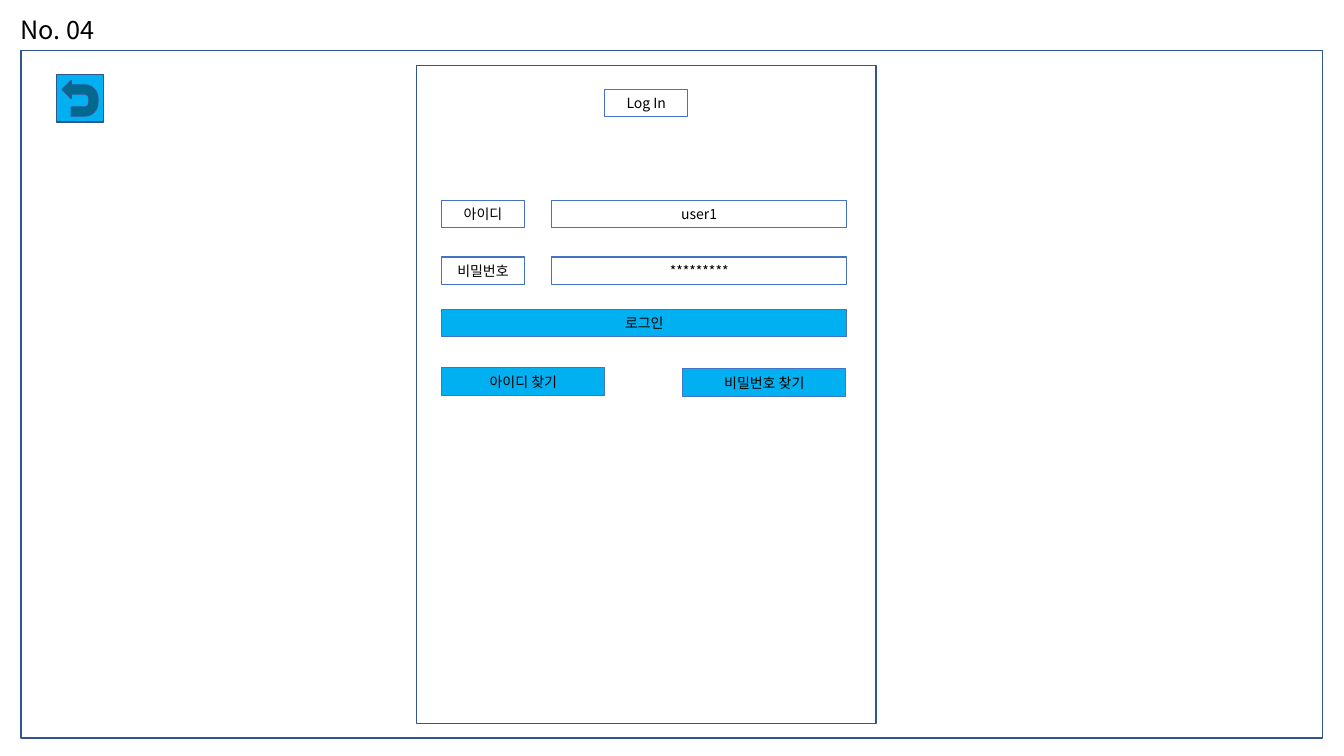
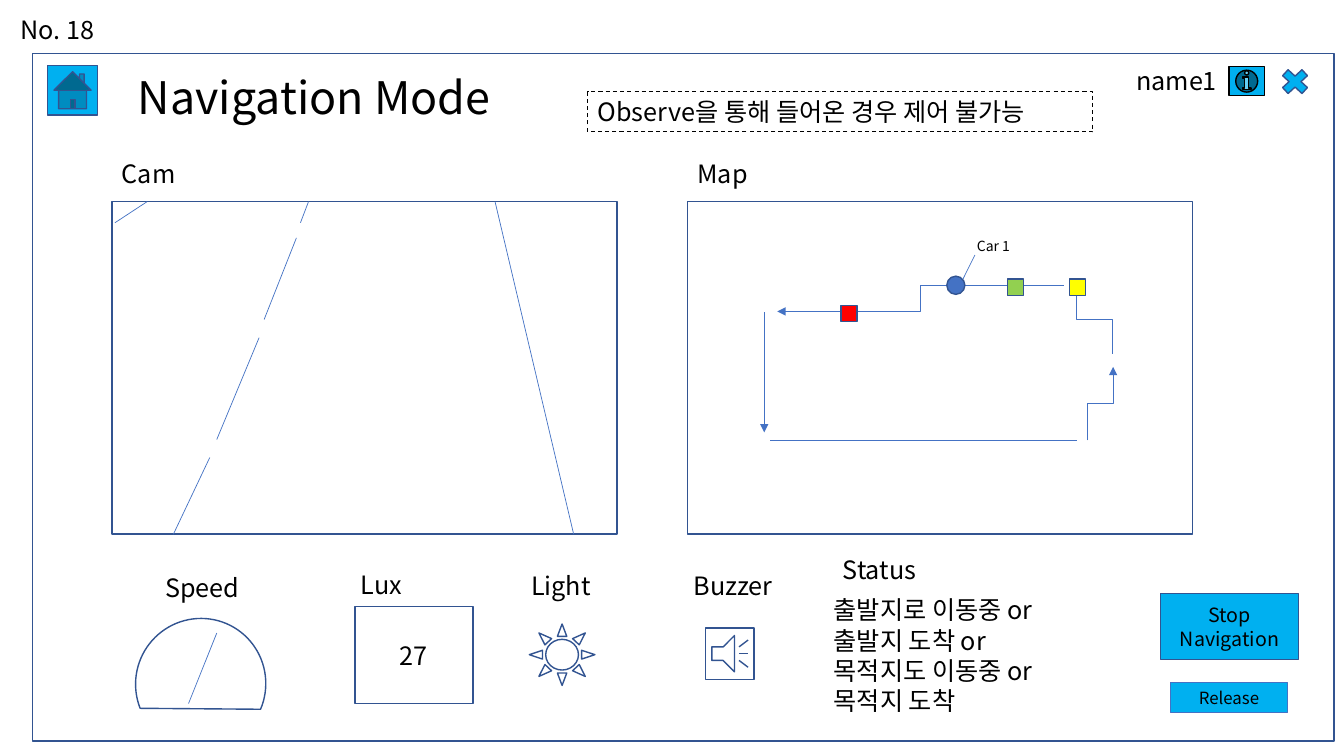
from dataclasses import dataclass
from typing import Any, Optional

from lxml.etree import SubElement
from pptx import Presentation
from pptx.dml.color import RGBColor
from pptx.enum.dml import MSO_LINE
from pptx.enum.shapes import MSO_CONNECTOR, MSO_SHAPE
from pptx.enum.text import MSO_ANCHOR, MSO_AUTO_SIZE, PP_ALIGN
from pptx.oxml.ns import qn
from pptx.util import Emu, Pt

PX = 9144  # EMU per px, 100 px to the inch


@dataclass(frozen=True)
class Theme:
    font: str = "Noto Sans CJK KR"
    ink: str = "000000"
    outline: str = "325491"
    accent: str = "4472C4"
    button: str = "00B0F0"
    stop_yellow: str = "FFFF00"
    stop_green: str = "92D050"
    stop_red: str = "FF0000"
    caption: int = 10
    small: int = 12
    action: int = 14
    body: int = 18
    heading: int = 32
    leading: float = 1.2
    hairline: float = 0.5
    thin: float = 0.75
    normal: float = 1


THEME = Theme()


@dataclass(frozen=True)
class Area:
    left: int
    top: int
    width: int
    height: int

    def emu(self) -> tuple[Emu, ...]:
        return tuple(Emu(n * PX) for n in (self.left, self.top, self.width, self.height))


@dataclass(frozen=True)
class Box:
    area: Area
    preset: MSO_SHAPE = MSO_SHAPE.RECTANGLE
    fill: Optional[str] = None
    line: str = THEME.outline
    weight: float = THEME.normal
    dash: Optional[MSO_LINE] = None
    rotation: int = 0
    text: str = ""
    size: int = THEME.caption
    align: PP_ALIGN = PP_ALIGN.CENTER


@dataclass(frozen=True)
class Label:
    area: Area
    text: str
    size: int = THEME.body


@dataclass(frozen=True)
class Route:
    """A line between two points; a bent one may leave its start vertically."""
    x1: int
    y1: int
    x2: int
    y2: int
    arrow: bool = False
    bent: bool = False
    upright: bool = False


def apply(target: Any, values: dict[str, Any]) -> None:
    for name, value in values.items():
        setattr(target, name, value)


def write(shape: Any, text: str, size: int, align: PP_ALIGN, anchor: MSO_ANCHOR) -> None:
    frame = shape.text_frame
    frame.text = text
    apply(frame, {
        "word_wrap": True, "auto_size": MSO_AUTO_SIZE.NONE, "vertical_anchor": anchor,
        "margin_left": Emu(10 * PX), "margin_right": Emu(10 * PX),
        "margin_top": Emu(5 * PX), "margin_bottom": Emu(5 * PX),
    })
    for paragraph in frame.paragraphs:
        apply(paragraph, {"alignment": align, "line_spacing": Pt(size * THEME.leading)})
        for run in paragraph.runs:
            apply(run.font, {"name": THEME.font, "size": Pt(size)})
            run.font.color.rgb = RGBColor.from_string(THEME.ink)
            SubElement(run.font._element, qn("a:ea"), typeface=THEME.font)


def stroke(shape: Any, color: str, weight: float) -> None:
    shape.line.color.rgb = RGBColor.from_string(color)
    shape.line.width = Pt(weight)


def draw_box(slide: Any, box: Box) -> None:
    shape = slide.shapes.add_shape(box.preset, *box.area.emu())
    shape.shadow.inherit = False
    shape.rotation = box.rotation
    if box.fill:
        shape.fill.solid()
        shape.fill.fore_color.rgb = RGBColor.from_string(box.fill)
    else:
        shape.fill.background()
    stroke(shape, box.line, box.weight)
    if box.dash:
        shape.line.dash_style = box.dash
    if box.text:
        write(shape, box.text, box.size, box.align, MSO_ANCHOR.MIDDLE)


def draw_label(slide: Any, label: Label) -> None:
    shape = slide.shapes.add_textbox(*label.area.emu())
    write(shape, label.text, label.size, PP_ALIGN.LEFT, MSO_ANCHOR.TOP)


def draw_route(slide: Any, route: Route) -> None:
    kind = MSO_CONNECTOR.ELBOW if route.bent else MSO_CONNECTOR.STRAIGHT
    ends = (route.x1, route.y1, route.x2, route.y2)
    if route.upright:
        # Ends before the quarter turn that makes the first leg vertical
        cx, cy = (route.x1 + route.x2) / 2, (route.y1 + route.y2) / 2
        dx, dy = route.x1 - cx, route.y1 - cy
        ends = (cx + dy, cy - dx, cx - dy, cy + dx)
    connector = slide.shapes.add_connector(kind, *(Emu(int(n * PX)) for n in ends))
    if route.upright:
        connector._element.spPr.find(qn("a:xfrm")).set("rot", str(90 * 60000))
    stroke(connector, THEME.accent, THEME.hairline)
    if route.arrow:
        SubElement(connector.line._get_or_add_ln(), qn("a:tailEnd"), type="triangle")
    SubElement(connector._element.spPr, qn("a:effectLst"))


def draw(slide: Any, *parts: Any) -> None:
    painters = {Box: draw_box, Label: draw_label, Route: draw_route}
    for part in parts:
        painters[type(part)](slide, part)


def add_screen(prs: Any, number: str, frame_left: int, frame_top: int) -> Any:
    """Add a slide with its screen number as title and the screen frame."""
    slide = prs.slides.add_slide(prs.slide_layouts[5])
    title = slide.shapes.title
    apply(title, dict(zip(("left", "top", "width", "height"), Area(10, 9, 113, 40).emu())))
    write(title, f"No. {number}", THEME.body, PP_ALIGN.LEFT, MSO_ANCHOR.TOP)
    draw(slide, Box(Area(frame_left, frame_top, 1291, 682)))
    return slide


def field(left: int, top: int, width: int, text: str, fill: Optional[str] = None) -> Box:
    return Box(Area(left, top, width, 27), fill=fill, line=THEME.accent,
               weight=THEME.thin, text=text)


def add_login(prs: Any) -> None:
    slide = add_screen(prs, "04", 21, 50)
    draw(slide, Box(Area(413, 65, 456, 653)), field(600, 89, 82, "Log In"))
    for top, caption, value in ((199, "아이디", "user1"), (255, "비밀번호", "*********")):
        draw(slide, field(438, top, 82, caption), field(547, top, 293, value))
    draw(slide, Box(Area(56, 74, 47, 47), MSO_SHAPE.ACTION_BUTTON_RETURN,
                    THEME.button, rotation=270))
    for left, top, width, caption in (
        (438, 307, 402, "로그인"),
        (438, 365, 162, "아이디 찾기"),
        (677, 366, 162, "비밀번호 찾기"),
    ):
        draw(slide, field(left, top, width, caption, THEME.button))


def add_cam(slide: Any) -> None:
    lane_marks = (
        (491, 200, 569, 530), (306, 200, 298, 221), (294, 236, 262, 317),
        (257, 335, 215, 436), (208, 454, 172, 530), (146, 200, 114, 221),
    )
    draw(slide, *(Route(*mark) for mark in lane_marks))


def add_map(slide: Any) -> None:
    draw(
        slide,
        Route(1055, 283, 771, 309, arrow=True, bent=True),
        Route(758, 310, 758, 429, arrow=True),
        Route(764, 437, 1068, 437),
        Route(1078, 437, 1104, 364, arrow=True, bent=True, upright=True),
        Route(1103, 351, 1068, 283, arrow=True, bent=True, upright=True),
        Box(Area(939, 274, 18, 18), MSO_SHAPE.OVAL, THEME.accent),
        Route(955, 277, 967, 253),
        Label(Area(959, 231, 61, 27), "Car 1", THEME.caption),
    )
    for left, top, color in (
        (1061, 277, THEME.stop_yellow),
        (999, 277, THEME.stop_green),
        (834, 303, THEME.stop_red),
    ):
        draw(slide, Box(Area(left, top, 16, 16), fill=color))


def add_instruments(slide: Any) -> None:
    for left, top, caption in (
        (154, 563, "Speed"), (348, 560, "Lux"), (517, 561, "Light"),
        (678, 561, "Buzzer"), (826, 545, "Status"),
    ):
        draw(slide, Label(Area(left, top, 103, 40), caption))
    states = ("출발지로 이동중 or", "출발지 도착 or", "목적지도 이동중 or", "목적지 도착")
    draw(
        slide,
        Box(Area(134, 614, 130, 129), MSO_SHAPE.CHORD, rotation=113),
        Route(215, 628, 187, 698),
        Box(Area(352, 602, 117, 96), text="27", size=THEME.body),
        Box(Area(525, 619, 65, 61), MSO_SHAPE.SUN),
        Box(Area(700, 623, 48, 51), MSO_SHAPE.ACTION_BUTTON_SOUND),
        Label(Area(817, 585, 299, 162), "\n".join(states)),
        Box(Area(1151, 589, 137, 65), MSO_SHAPE.ACTION_BUTTON_CUSTOM, THEME.button,
            text="Stop\nNavigation", size=THEME.action),
        Box(Area(1161, 677, 116, 30), fill=THEME.button, line=THEME.accent, weight=0.25,
            text="Release", size=THEME.small),
    )


def add_navigation(prs: Any) -> None:
    slide = add_screen(prs, "18", 32, 53)
    draw(
        slide,
        Box(Area(47, 65, 50, 49), MSO_SHAPE.ACTION_BUTTON_HOME, THEME.button),
        Label(Area(127, 64, 390, 64), "Navigation Mode", THEME.heading),
        Box(Area(583, 91, 501, 40), line=THEME.ink, weight=THEME.thin, dash=MSO_LINE.DASH,
            text="Observe을 통해 들어온 경우 제어 불가능", size=THEME.body,
            align=PP_ALIGN.LEFT),
        Label(Area(1117, 60, 102, 40), "name1"),
        Box(Area(1219, 66, 35, 29), MSO_SHAPE.ACTION_BUTTON_INFORMATION, THEME.button,
            THEME.ink),
        Box(Area(1266, 64, 37, 34), MSO_SHAPE.MATH_MULTIPLY, THEME.button),
    )
    for left, caption in ((111, "Cam"), (682, "Map")):
        draw(slide, Label(Area(left, 152, 97, 40), caption), Box(Area(left, 200, 501, 330)))
    add_cam(slide)
    add_map(slide)
    add_instruments(slide)


def main() -> None:
    prs = Presentation()
    apply(prs, {"slide_width": Emu(1333 * PX), "slide_height": Emu(750 * PX)})
    add_login(prs)
    add_navigation(prs)
    prs.save("out.pptx")


if __name__ == "__main__":
    main()
